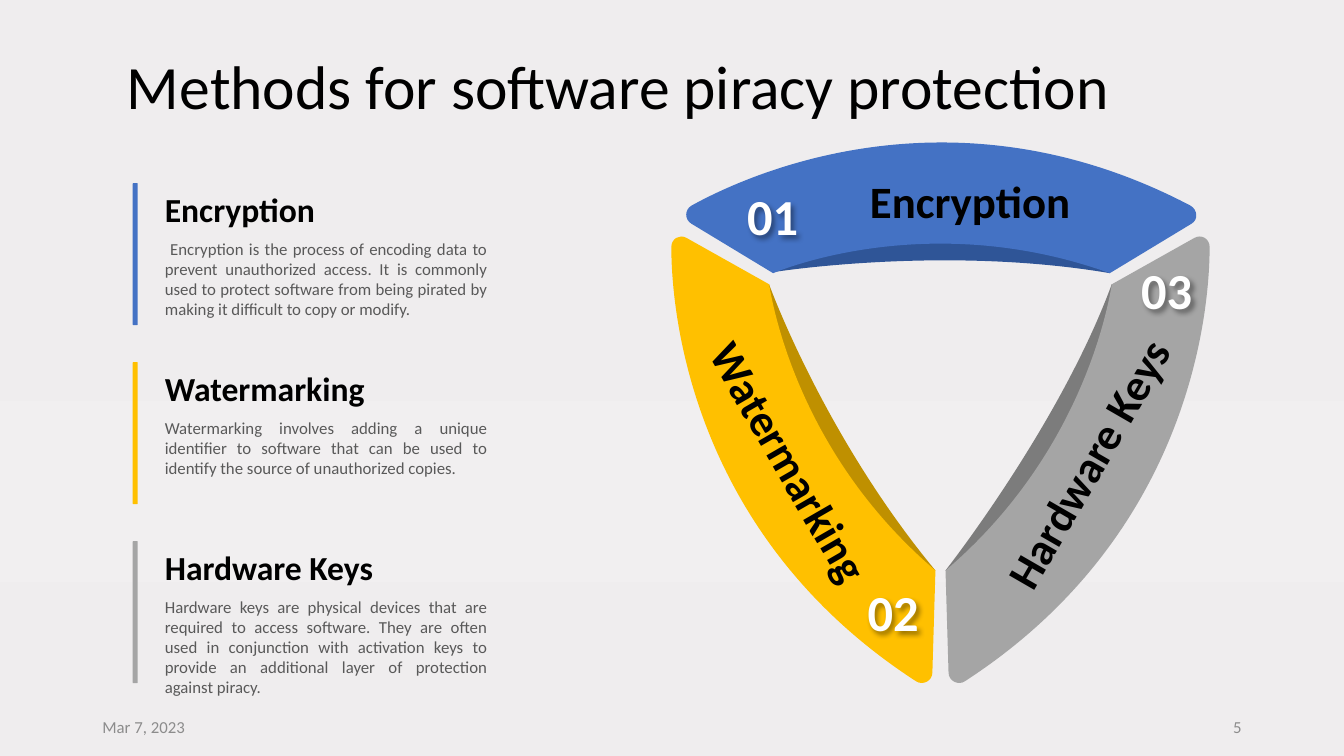
"""Build a slide on three methods of software piracy protection, on a grid of tenth-inch cells."""
import copy
from dataclasses import dataclass

import lxml.etree
import pptx
import pptx.dml.color
import pptx.enum.shapes
import pptx.enum.text
import pptx.oxml
import pptx.oxml.ns
import pptx.util

Anchor = pptx.enum.text.MSO_ANCHOR
Align = pptx.enum.text.PP_ALIGN
Fit = pptx.enum.text.MSO_AUTO_SIZE
Area = tuple[float, float, float, float]
Outline = list[tuple[float, ...]]

COLUMNS, ROWS = 133.33, 75
CELL = pptx.util.Inches(0.1)
CURVE_STEPS = 50
MIRROR_COLUMN = 93.3
ENTRY_TOP, ENTRY_PITCH = 18.16, 17.76
SHADOW = (
    f'<a:effectLst {pptx.oxml.ns.nsdecls("a")}>'
    '<a:outerShdw blurRad="50800" dist="38100" dir="2700000" algn="tl">'
    '<a:srgbClr val="000000"><a:alpha val="40000"/></a:srgbClr>'
    '</a:outerShdw></a:effectLst>'
)


@dataclass(frozen=True)
class Theme:
    """Colours, type sizes and font of the slide."""
    font: str = "Calibri"
    ink: str = "000000"
    body: str = "595959"
    muted: str = "8C8C8C"
    white: str = "FFFFFF"
    background: tuple = ((0, "EFEDEE"), (0.53, "F1EFF0"), (0.77, "EFEDEE"), (1, "EFEBEC"))
    title_size: int = 44
    number_size: int = 36
    label_size: int = 32
    heading_size: int = 24
    small_size: int = 12


@dataclass(frozen=True)
class Method:
    """One protection method: its ribbon of the triangle and its entry in the list."""
    name: str
    number: str
    description: str
    lines: int
    color: str
    fold_color: str
    face: Outline
    fold: Outline
    number_at: tuple[float, float]
    label_area: Area
    rotation: int = 0
    label_align: Align = Align.LEFT


THEME = Theme()


def mirrored(outline: Outline) -> Outline:
    """Reflect an outline about the triangle's vertical axis."""
    return [
        tuple(2 * MIRROR_COLUMN - value if index % 2 == 0 else value
              for index, value in enumerate(step))
        for step in outline
    ]


LEFT_FACE = [
    (76.3, 28.2), (68.1, 23.6), (67.4, 23.2, 66.6, 23.7, 66.6, 24.5),
    (66.6, 30.9, 68.5, 53.1, 90.9, 67.6), (91.5, 68, 92.5, 67.6, 92.5, 66.7),
    (92.8, 56.6), (79.9, 45.6, 76.9, 31.8, 76.3, 28.2),
]

METHODS = (
    Method(
        "Encryption", "01",
        " Encryption is the process of encoding data to prevent unauthorized access. "
        "It is commonly used to protect software from being pirated by making it "
        "difficult to copy or modify.",
        4, "4472C4", "2F5597",
        [(118.1, 20.4), (94.5, 8, 74.2, 17.3, 68.6, 20.4),
         (67.9, 20.8, 67.9, 21.8, 68.6, 22.2), (76.7, 27.1),
         (79.4, 26, 93.4, 21.1, 110.1, 27.1), (118.2, 22.2),
         (118.9, 21.8, 118.8, 20.8, 118.1, 20.4)],
        [(76.7, 27), (76.7, 27, 93.6, 24.3, 110.1, 27.1), (110.1, 21.4), (76.7, 21.4),
         (76.7, 27)],
        (73.1, 17.9), (85.2, 16.75, 22.1, 6.4), 0, Align.CENTER,
    ),
    Method(
        "Watermarking", "02",
        "Watermarking involves adding a unique identifier to software that can be used "
        "to identify the source of unauthorized copies.",
        3, "FFC000", "BF9000", LEFT_FACE,
        [(76.3, 28.2), (76.3, 28.2, 81.7, 43.2, 92.8, 56.6), (89.6, 59.5), (73.1, 29.8),
         (76.3, 28.2)],
        (85.05, 57.2), (64.1, 42.7, 28.7, 6.4), 60,
    ),
    Method(
        "Hardware Keys", "03",
        "Hardware keys are physical devices that are required to access software. They "
        "are often used in conjunction with activation keys to provide an additional "
        "layer of protection against piracy.",
        5, "A5A5A5", "7C7C7C", mirrored(LEFT_FACE),
        [(93.8, 56.6), (93.8, 56.6, 105.2, 42.1, 110.3, 28.2), (113.1, 29.6), (97, 59.5),
         (93.8, 56.6)],
        (112.2, 25.2), (93.1, 42.7, 29.8, 6.4), 300,
    ),
)


def cells(count: float) -> int:
    """Turn a number of grid cells into a length."""
    return round(count * CELL)


def rgb(value: str) -> pptx.dml.color.RGBColor:
    """Turn a hexadecimal value into a colour."""
    return pptx.dml.color.RGBColor.from_string(value)


def paint(shape, color: str) -> None:
    """Give a shape a flat fill without outline or shadow."""
    shape.fill.solid()
    shape.fill.fore_color.rgb = rgb(color)
    shape.line.fill.background()
    shape.shadow.inherit = False


def write(box, text: str, size: int, color: str, bold: bool = False, align: Align = Align.LEFT,
          anchor: Anchor = Anchor.TOP, fit: Fit = Fit.NONE, wrap: bool = True):
    """Fill a box with one formatted paragraph and return the paragraph."""
    frame = box.text_frame
    frame.auto_size, frame.word_wrap, frame.vertical_anchor = fit, wrap, anchor
    para = frame.paragraphs[0]
    para.text, para.alignment = text, align
    para.font.name, para.font.size, para.font.bold = THEME.font, pptx.util.Pt(size), bold
    para.font.color.rgb = rgb(color)
    return para


def add_text(page, area: Area, text: str, size: int, color: str, **options):
    """Place a text box on the grid."""
    box = page.shapes.add_textbox(*map(cells, area))
    write(box, text, size, color, **options)
    return box


def extent(outline: Outline, axis: int) -> tuple[int, int]:
    """Return the start and length of an outline along one axis."""
    values = [outline[0][axis]]
    for step in outline[1:]:
        if len(step) == 6:
            start, (first, second, end) = values[-1], step[axis::2]
            for t in (index / CURVE_STEPS for index in range(1, CURVE_STEPS)):
                values.append((1 - t) ** 3 * start + 3 * t * (1 - t) ** 2 * first
                              + 3 * t * t * (1 - t) * second + t ** 3 * end)
        values.append(step[axis - 2])
    return cells(min(values)), cells(max(values) - min(values))


def add_outline(page, outline: Outline, color: str) -> None:
    """Draw a closed, filled outline of lines and cubic curves."""
    start, *rest = [(cells(step[-2]), cells(step[-1])) for step in outline]
    builder = page.shapes.build_freeform(*start)
    builder.add_line_segments(rest, close=True)
    shape = builder.convert_to_shape()
    shape.left, shape.width = extent(outline, 0)
    shape.top, shape.height = extent(outline, 1)
    name = pptx.oxml.ns.qn
    track = shape.element.find(".//" + name("a:path"))
    track.set("w", str(shape.width))
    track.set("h", str(shape.height))
    for node, step in zip(list(track), outline):
        if len(step) == 6:
            curve = lxml.etree.Element(name("a:cubicBezTo"))
            track.replace(node, curve)
            node = curve
        for point in list(node):
            node.remove(point)
        for x, y in zip(step[::2], step[1::2]):
            lxml.etree.SubElement(node, name("a:pt"), x=str(cells(x) - shape.left),
                                  y=str(cells(y) - shape.top))
    paint(shape, color)


def add_ribbon(page, method: Method) -> None:
    """Draw one side of the triangle with its number and label."""
    add_outline(page, method.fold, method.fold_color)
    add_outline(page, method.face, method.color)
    number = add_text(page, (*method.number_at, 7.1, 7.1), method.number, THEME.number_size,
                      THEME.white, bold=True, align=Align.CENTER, fit=Fit.SHAPE_TO_FIT_TEXT,
                      wrap=False)
    number.element.spPr.append(pptx.oxml.parse_xml(SHADOW))
    label = add_text(page, method.label_area, method.name, THEME.label_size, THEME.ink, bold=True,
                     align=method.label_align, fit=Fit.SHAPE_TO_FIT_TEXT, wrap=False)
    label.rotation = method.rotation


def add_entry(page, method: Method, top: float) -> None:
    """Draw one list entry: a coloured bar, a heading and a description."""
    bar = page.shapes.add_shape(pptx.enum.shapes.MSO_SHAPE.ROUNDED_RECTANGLE,
                                *map(cells, (13.16, top, 0.5, 14.1)))
    paint(bar, method.color)
    heading = add_text(page, (16.36, top, 32, 5.05), method.name, THEME.heading_size, THEME.ink,
                       bold=True, anchor=Anchor.BOTTOM, fit=Fit.SHAPE_TO_FIT_TEXT)
    description = add_text(page, (16.36, top + 5, 32, 1.1 + 2 * method.lines), method.description,
                           THEME.small_size, THEME.body, align=Align.JUSTIFY,
                           fit=Fit.SHAPE_TO_FIT_TEXT)
    for box in (heading, description):
        box.text_frame.margin_left = box.text_frame.margin_right = 0


def set_background(page) -> None:
    """Fill the page with the theme's vertical gradient."""
    fill = page.background.fill
    fill.gradient()
    fill.gradient_angle = 270
    stop_list = page.element.find(".//" + pptx.oxml.ns.qn("a:gsLst"))
    while len(stop_list) < len(THEME.background):
        stop_list.append(copy.deepcopy(stop_list[0]))
    for stop, (position, color) in zip(fill.gradient_stops, THEME.background):
        stop.position, stop.color.rgb = position, rgb(color)


def main() -> None:
    """Build and save the deck."""
    deck = pptx.Presentation()
    deck.slide_width, deck.slide_height = cells(COLUMNS), cells(ROWS)
    page = deck.slides.add_slide(deck.slide_layouts[5])
    set_background(page)
    title = page.shapes.title
    title.left, title.top, title.width, title.height = map(cells, (11.6, 4.8, 115, 8.1))
    write(title, "Methods for software piracy protection", THEME.title_size, THEME.ink,
          anchor=Anchor.MIDDLE).line_spacing = 0.9
    for index, method in enumerate(METHODS):
        add_ribbon(page, method)
        add_entry(page, method, ENTRY_TOP + index * ENTRY_PITCH)
    for left, text, align in ((9.17, "Mar 7, 2023", Align.LEFT), (94.17, "5", Align.RIGHT)):
        add_text(page, (left, 70.1, 30, 4), text, THEME.small_size, THEME.muted, align=align,
                 anchor=Anchor.MIDDLE)
    deck.save("out.pptx")


if __name__ == "__main__":
    main()
